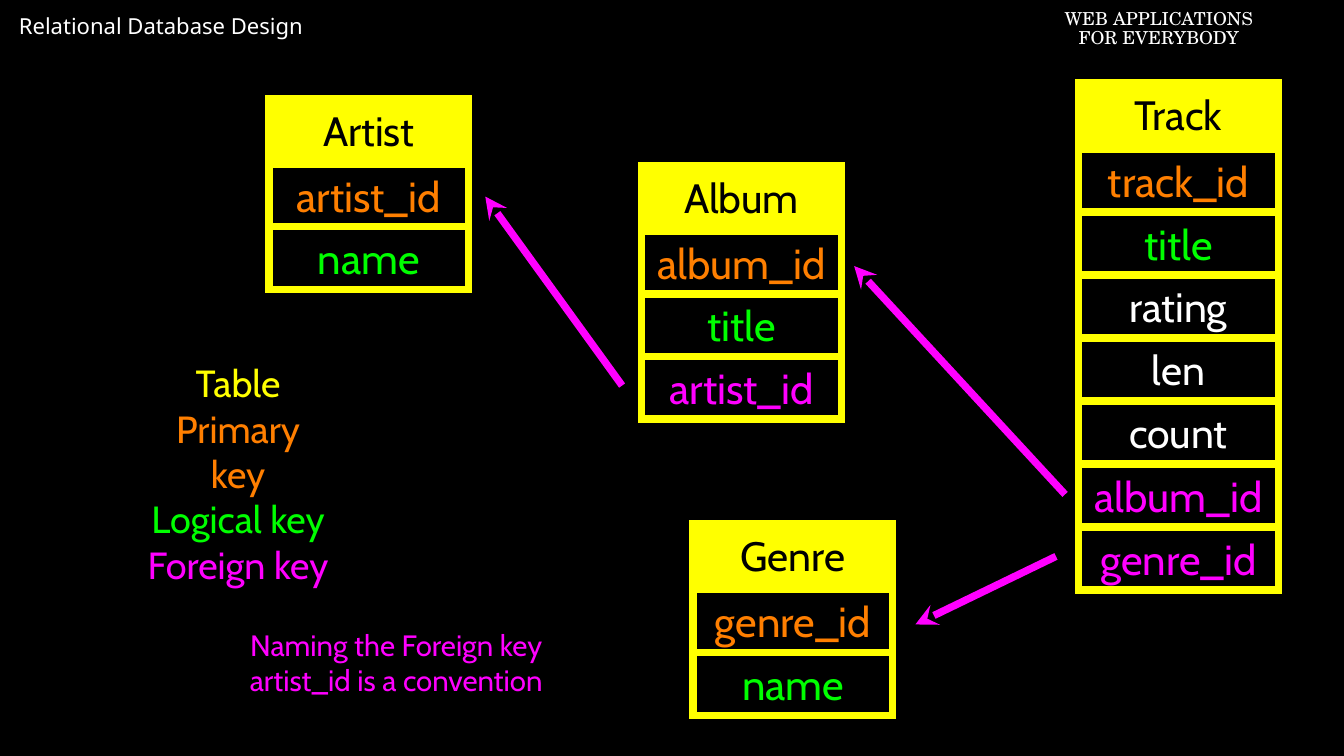
from pptx import Presentation
from pptx.dml.color import RGBColor
from pptx.enum.shapes import MSO_CONNECTOR as CONNECTOR, MSO_SHAPE as SHAPE
from pptx.enum.text import MSO_ANCHOR as ANCHOR, PP_ALIGN as ALIGN
from pptx.oxml.ns import qn
from pptx.util import Inches, Pt
from lxml.etree import SubElement

BLACK = RGBColor(0x00, 0x00, 0x00)
WHITE = RGBColor(0xFF, 0xFF, 0xFF)
YELLOW = RGBColor(0xFF, 0xFF, 0x00)   # table
ORANGE = RGBColor(0xFF, 0x7F, 0x00)   # primary key
GREEN = RGBColor(0x00, 0xFF, 0x00)    # logical key
MAGENTA = RGBColor(0xFF, 0x00, 0xFF)  # foreign key

STROKE = Pt(7)
CELL_WIDTH, CELL_HEIGHT = 2.64, 0.83
HEADER_PITCH = 0.87  # from the top of a header to the first field

# Name, box (left, top, width, height) and fields of each database table
TABLES = [
    ("Artist", (3.56, 1.3, CELL_WIDTH, 2.53),
     [("artist_id", ORANGE), ("name", GREEN)]),
    ("Album", (8.49, 2.19, CELL_WIDTH, 3.35),
     [("album_id", ORANGE), ("title", GREEN), ("artist_id", MAGENTA)]),
    ("Track", (14.27, 1.1, CELL_WIDTH, 6.71),
     [("track_id", ORANGE), ("title", GREEN), ("rating", WHITE), ("len", WHITE),
      ("count", WHITE), ("album_id", MAGENTA), ("genre_id", MAGENTA)]),
    ("Genre", (9.17, 6.93, CELL_WIDTH, 2.54),
     [("genre_id", ORANGE), ("name", GREEN)]),
]

# Primary key end and foreign key end of each relation
RELATIONS = [
    ((6.42, 2.6), (8.23, 5.1)),
    ((11.3, 3.52), (14.09, 6.54)),
    ((12.11, 8.26), (13.97, 7.36)),
]


def write(frame, lines, font, size, align=ALIGN.CENTER, anchor=ANCHOR.MIDDLE,
          margins=(0, 0), spacing=None):
    """Fill a text frame with one paragraph for each (text, colour) pair."""
    frame.word_wrap = True
    frame.vertical_anchor = anchor
    frame.margin_left = frame.margin_right = Inches(margins[0])
    frame.margin_top = frame.margin_bottom = Inches(margins[1])
    for index, (text, color) in enumerate(lines):
        para = frame.add_paragraph() if index else frame.paragraphs[0]
        para.text = text
        para.alignment = align
        para.line_spacing = spacing
        para.font.name = font
        para.font.size = Pt(size)
        para.font.color.rgb = color


def add_text(page, box, lines, font, size, **layout):
    text_box = page.shapes.add_textbox(*map(Inches, box))
    write(text_box.text_frame, lines, font, size, **layout)


def add_heading(page, box):
    title = page.shapes.title
    title.left, title.top, title.width, title.height = map(Inches, box)
    write(title.text_frame, [("Relational Database Design", WHITE)], "Noto Sans", 21,
          align=ALIGN.LEFT, anchor=ANCHOR.TOP, margins=(0.18, 0.09))


def add_cell(page, left, top, text, color, size, filled=False):
    cell = page.shapes.add_shape(SHAPE.RECTANGLE, Inches(left), Inches(top),
                                 Inches(CELL_WIDTH), Inches(CELL_HEIGHT))
    cell.shadow.inherit = False
    if filled:
        cell.fill.solid()
        cell.fill.fore_color.rgb = YELLOW
    else:
        cell.fill.background()
    cell.line.color.rgb = YELLOW
    cell.line.width = STROKE
    # Square corners
    SubElement(cell.line._get_or_add_ln(), qn("a:miter"), lim="800000")
    write(cell.text_frame, [(text, color)], "Cabin", size)


def add_database_table(page, box, name, fields):
    left, top, _, height = box
    pitch = (height - HEADER_PITCH) / len(fields)
    add_cell(page, left, top, name, BLACK, 39, filled=True)
    for index, (field, color) in enumerate(fields):
        size = 39 if color == WHITE else 40
        add_cell(page, left, top + HEADER_PITCH + index * pitch, field, color, size)


def add_relation(page, primary, foreign):
    arrow = page.shapes.add_connector(CONNECTOR.STRAIGHT,
                                      *map(Inches, primary + foreign))
    arrow.line.color.rgb = MAGENTA
    arrow.line.width = STROKE
    SubElement(arrow.line._get_or_add_ln(), qn("a:headEnd"), type="stealth")
    SubElement(arrow._element.spPr, qn("a:effectLst"))


def main():
    deck = Presentation()
    deck.slide_width, deck.slide_height = Inches(17.78), Inches(10)
    page = deck.slides.add_slide(deck.slide_layouts[5])
    page.background.fill.solid()
    page.background.fill.fore_color.rgb = BLACK

    # Page header
    add_heading(page, (0.07, 0.07, 5.32, 0.99))
    add_text(page, (13.31, 0.08, 4.04, 0.62),
             [("WEB APPLICATIONS", WHITE), ("FOR EVERYBODY", WHITE)],
             "TeX Gyre Schola", 17, anchor=ANCHOR.TOP, margins=(0.1, 0.05),
             spacing=0.9)

    # Data model
    for name, box, fields in TABLES:
        add_database_table(page, box, name, fields)
    for primary, foreign in RELATIONS:
        add_relation(page, primary, foreign)

    # Colour legend and naming note
    add_text(page, (1.93, 5.05, 2.44, 2.42),
             [("Table", YELLOW), ("Primary key", ORANGE),
              ("Logical key", GREEN), ("Foreign key", MAGENTA)], "Cabin", 36)
    add_text(page, (3.22, 8.26, 4.04, 1),
             [("Naming the Foreign key artist_id is a convention", MAGENTA)],
             "Cabin", 28)

    deck.save("out.pptx")


if __name__ == "__main__":
    main()
